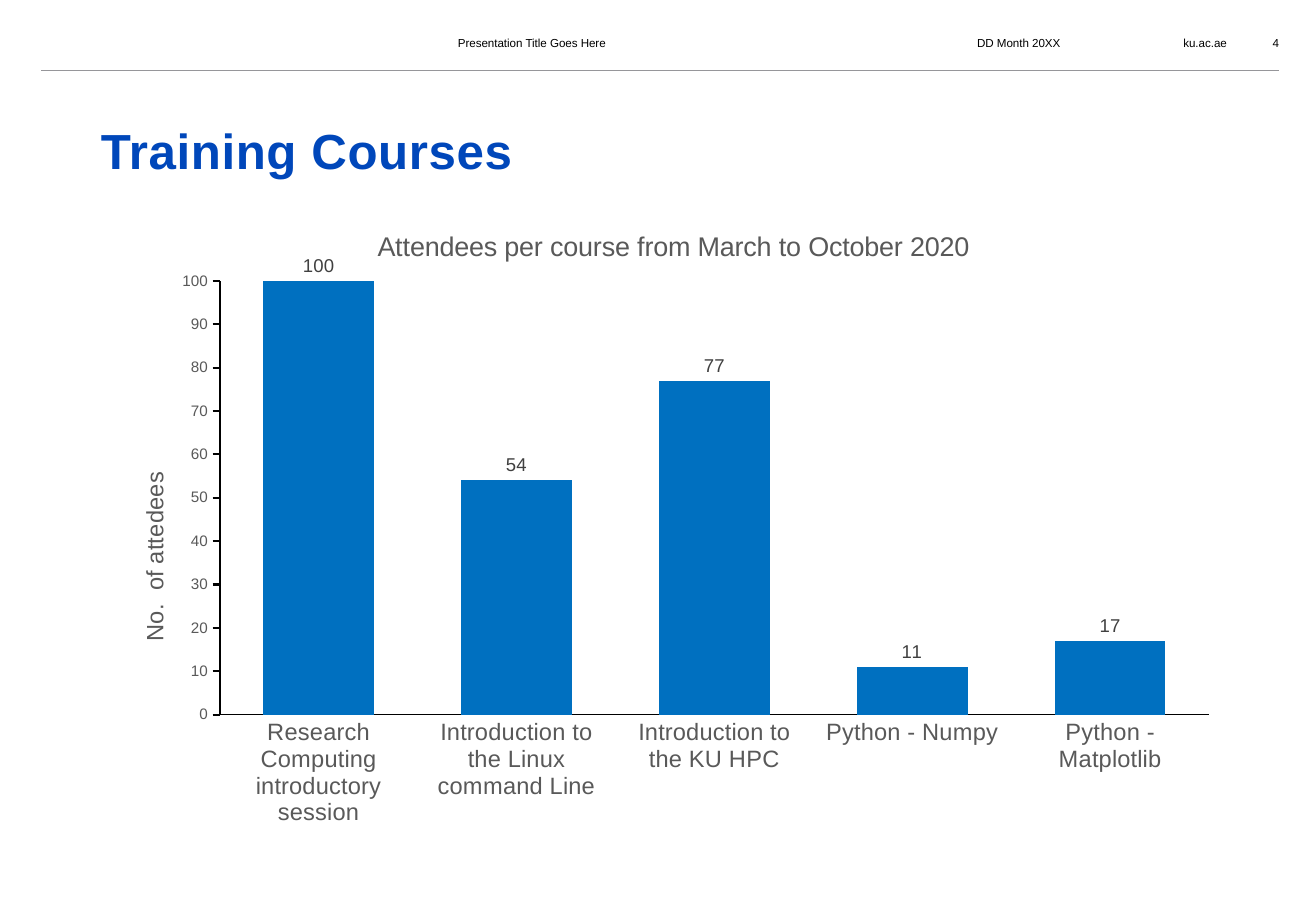
import pptx
import pptx.util
import pptx.chart.data
import pptx.dml.color
import pptx.enum.chart
import pptx.enum.shapes
import pptx.enum.text
import pptx.oxml.ns
from lxml import etree

Pt = pptx.util.Pt
qn = pptx.oxml.ns.qn
ALIGN = pptx.enum.text.PP_ALIGN
ANCHOR = pptx.enum.text.MSO_ANCHOR
KIND = pptx.enum.chart
COLORS = {"title": "0047BA", "bar": "0070C0", "rule": "96969A",
          "black": "000000", "gray": "595959", "label": "404040"}


def style(font, size, color):
    font.name = "Arial"
    font.size = Pt(size)
    font.bold = False
    font.color.rgb = pptx.dml.color.RGBColor.from_string(COLORS[color])


def place(node, index, **spots):
    """Fix a chart part at fractions of the chart area."""
    layout = node.find(qn("c:layout"))
    if layout is None:
        layout = etree.Element(qn("c:layout"))
        node.insert(index, layout)
    manual = etree.SubElement(layout, qn("c:manualLayout"))
    if "w" in spots:
        etree.SubElement(manual, qn("c:layoutTarget")).set("val", "inner")
    for key in "xy":
        etree.SubElement(manual, qn(f"c:{key}Mode")).set("val", "edge")
    for key, value in spots.items():
        etree.SubElement(manual, qn(f"c:{key}")).set("val", str(value))


deck = pptx.Presentation()
deck.slide_width, deck.slide_height = Pt(780), Pt(540)
slide = deck.slides.add_slide(deck.slide_layouts[6])

# Header and title
texts = [
    ("Presentation Title Goes Here", 183.6, 15.8, 263.5, 19.4, ALIGN.CENTER, 6.9),
    ("DD Month 20XX", 517.7, 15.8, 110.9, 19.4, ALIGN.RIGHT, 6.9),
    ("ku.ac.ae", 666, 15.8, 61.2, 19.4, ALIGN.RIGHT, 6.9),
    ("4", 739.4, 15.8, 33.8, 19.4, ALIGN.CENTER, 6.9),
    ("Training Courses", 59.8, 42.5, 666.7, 64.1, ALIGN.LEFT, 29.2),
]
for text, left, top, width, height, align, size in texts:
    box = slide.shapes.add_textbox(Pt(left), Pt(top), Pt(width), Pt(height))
    frame = box.text_frame
    frame.word_wrap = True
    frame.margin_left = frame.margin_right = 0
    frame.margin_top = frame.margin_bottom = 0
    frame.vertical_anchor = ANCHOR.MIDDLE
    frame.text = text
    para = frame.paragraphs[0]
    para.alignment = align
    style(para.runs[0].font, size, "black")

# The last box is the slide title
frame.vertical_anchor = ANCHOR.BOTTOM
run = para.runs[0]
style(run.font, 29.2, "title")
run.font.bold = True
run.font._element.set("spc", "40")

rule = slide.shapes.add_connector(
    pptx.enum.shapes.MSO_CONNECTOR.STRAIGHT, Pt(24.5), Pt(41.8), Pt(758.2), Pt(41.8))
rule.line.width = Pt(0.75)
rule.line.color.rgb = pptx.dml.color.RGBColor.from_string(COLORS["rule"])
etree.SubElement(rule._element.spPr, qn("a:effectLst"))

# Chart
data = pptx.chart.data.CategoryChartData()
data.categories = [
    "Research Computing introductory session",
    "Introduction to the Linux command Line",
    "Introduction to the KU HPC",
    "Python - Numpy",
    "Python - Matplotlib",
]
data.add_series("Series 1", [100, 54, 77, 11, 17])
chart = slide.shapes.add_chart(
    KIND.XL_CHART_TYPE.COLUMN_CLUSTERED,
    Pt(59.8), Pt(118.1), Pt(671), Pt(378.7), data).chart
style(chart.font, 10, "black")
chart.has_legend = False
chart.has_title = True

plot = chart.plots[0]
plot.gap_width = 79
plot.overlap = -27
plot.vary_by_categories = False
bars = plot.series[0].format
bars.fill.solid()
bars.fill.fore_color.rgb = pptx.dml.color.RGBColor.from_string(COLORS["bar"])
plot.has_data_labels = True
labels = plot.data_labels
labels.show_value = True
labels.position = KIND.XL_LABEL_POSITION.OUTSIDE_END
style(labels.font, 11, "label")

axes = [
    (chart.category_axis, 14, 0.75, KIND.XL_TICK_MARK.NONE),
    (chart.value_axis, 9, 1.25, KIND.XL_TICK_MARK.OUTSIDE),
]
for axis, size, width, tick in axes:
    axis.has_major_gridlines = False
    axis.major_tick_mark = tick
    axis.minor_tick_mark = KIND.XL_TICK_MARK.NONE
    style(axis.tick_labels.font, size, "gray")
    axis.format.line.width = Pt(width)
    axis.format.line.color.rgb = pptx.dml.color.RGBColor.from_string(COLORS["black"])
scale = chart.value_axis
scale.minimum_scale, scale.maximum_scale = 0, 100
scale.major_unit = 10
scale.has_title = True

titles = [
    (chart.chart_title, "Attendees per course from March to October 2020", 16, 0.24, 0.04),
    (scale.axis_title, "No.  of attedees", 14, 0.03, 0.42),
]
for title, text, size, x, y in titles:
    title.text_frame.text = text
    style(title.text_frame.paragraphs[0].runs[0].font, size, "gray")
    place(title._element, 1, x=x, y=y)
body = scale.axis_title.text_frame._txBody.bodyPr
body.set("rot", "-5400000")
body.set("vert", "horz")
area = chart._chartSpace.find(".//" + qn("c:plotArea"))
place(area, 0, x=0.105, y=0.128, w=0.874, h=0.679)

deck.save("out.pptx")
